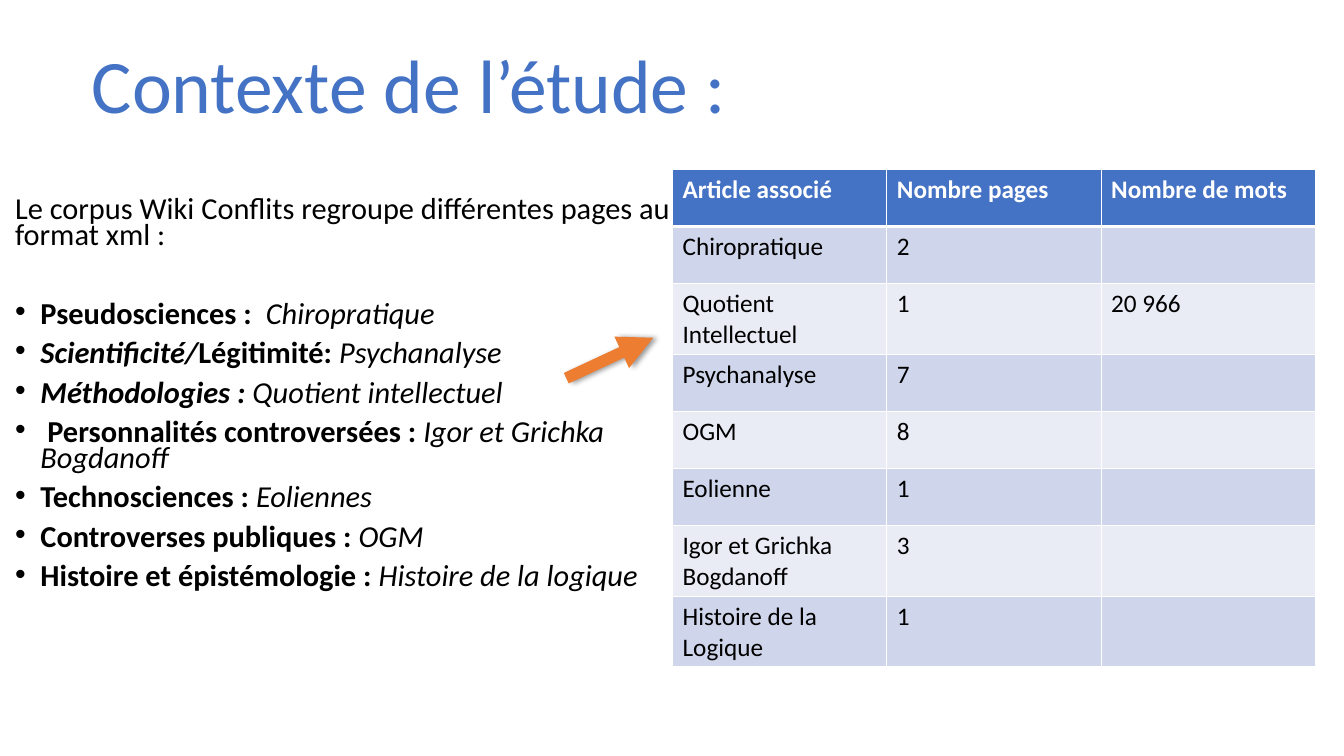
from lxml import etree
from pptx import Presentation
from pptx import util as u
from pptx.dml.color import RGBColor
from pptx.enum import shapes, text
from pptx.oxml import parse_xml
from pptx.oxml.ns import qn

NS = 'xmlns:a="http://schemas.openxmlformats.org/drawingml/2006/main"'
COLORS = {"blue": "4472C4", "orange": "ED7D31", "black": "000000",
          "white": "FFFFFF", "band": "CFD5EA", "light": "E9EBF5"}
INTRO = "Le corpus Wiki Conflits regroupe différentes pages au format xml :"
THEMES = [
    [("Pseudosciences : ", "b"), (" Chiropratique", "i")],
    [("Scientificité/", "bi"), ("Légitimité: ", "b"), ("Psychanalyse", "i")],
    [("Méthodologies : ", "bi"), ("Quotient intellectuel", "i")],
    [(" ", "bi"), ("Personnalités controversées : ", "b"), ("Igor et Grichka Bogdanoff", "i")],
    [("Technosciences : ", "b"), ("Eoliennes", "i")],
    [("Controverses publiques : ", "b"), ("OGM", "i")],
    [("Histoire et épistémologie : ", "b"), ("Histoire de la logique", "i")],
]
ARTICLES = [
    ("Article associé", "Nombre pages", "Nombre de mots"),
    ("Chiropratique", "2", ""),
    ("Quotient Intellectuel", "1", "20 966"),
    ("Psychanalyse", "7", ""),
    ("OGM", "8", ""),
    ("Eolienne", "1", ""),
    ("Igor et Grichka Bogdanoff", "3", ""),
    ("Histoire de la Logique", "1", ""),
]


class Deck:
    """Holds the style and the current slide, and adds each kind of element."""

    font = "Calibri"

    def __init__(self):
        self.prs = Presentation()
        self.prs.slide_width, self.prs.slide_height = u.Cm(33.87), u.Cm(19.05)
        self.s = self.prs.slides.add_slide(self.prs.slide_layouts[6])

    def color(self, name):
        return RGBColor.from_string(COLORS[name])

    def run(self, p, words, size, color="black", style=""):
        r = p.add_run()
        r.text = words
        r.font.name, r.font.size = self.font, u.Pt(size)
        r.font.bold, r.font.italic = "b" in style, "i" in style
        r.font.color.rgb = self.color(color)

    def box(self, x, y, w, h, wrap=True):
        tf = self.s.shapes.add_textbox(u.Cm(x), u.Cm(y), u.Cm(w), u.Cm(h)).text_frame
        tf.word_wrap = wrap
        return tf

    def title(self, words, *at):
        tf = self.box(*at, wrap=False)
        tf.auto_size = text.MSO_AUTO_SIZE.SHAPE_TO_FIT_TEXT
        p = tf.paragraphs[0]
        p.alignment = text.PP_ALIGN.CENTER
        self.run(p, words, 54, "blue")

    def bullet(self, p):
        pPr = p._p.get_or_add_pPr()
        pPr.set("marL", str(u.Cm(0.64)))
        pPr.set("indent", str(-u.Cm(0.64)))
        etree.SubElement(pPr, qn("a:buFont")).set("typeface", "Arial")
        etree.SubElement(pPr, qn("a:buChar")).set("char", "•")

    def body(self, intro, items, *at):
        tf = self.box(*at)
        for i, runs in enumerate([[(intro, "")]] + items):
            p = tf.add_paragraph() if i else tf.paragraphs[0]
            p.line_spacing = 0.7
            p.space_before = u.Pt(38 if i == 1 else 10)
            if i:
                self.bullet(p)
            for words, style in runs:
                self.run(p, words, 21.7, style=style)

    def border(self, cell, side, width):
        cell._tc.get_or_add_tcPr().append(parse_xml(
            f'<a:ln{side} {NS} w="{u.Pt(width)}"><a:solidFill>'
            f'<a:srgbClr val="{COLORS["white"]}"/></a:solidFill></a:ln{side}>'))

    def table(self, rows, x, y, col_w, row_h):
        n, m = len(rows), len(rows[0])
        tbl = self.s.shapes.add_table(n, m, u.Cm(x), u.Cm(y),
                                      u.Cm(col_w * m), u.Cm(row_h * n)).table
        for i, row in enumerate(rows):
            tbl.rows[i].height = u.Cm(row_h)
            fill = ("light" if i % 2 == 0 else "band") if i else "blue"
            for j, words in enumerate(row):
                cell = tbl.cell(i, j)
                for side in "LRTB":
                    heavy = (i, side) in ((0, "B"), (1, "T"))
                    self.border(cell, side, 3 if heavy else 1)
                cell.fill.solid()
                cell.fill.fore_color.rgb = self.color(fill)
                if words:
                    self.run(cell.text_frame.paragraphs[0], words, 18,
                             "black" if i else "white", "" if i else "b")

    def arrow(self, x1, y1, x2, y2, color, width):
        sp = self.s.shapes.add_connector(shapes.MSO_CONNECTOR.STRAIGHT,
                                         u.Cm(x1), u.Cm(y1), u.Cm(x2), u.Cm(y2))
        sp.line.color.rgb, sp.line.width = self.color(color), u.Pt(width)
        etree.SubElement(sp.line._get_or_add_ln(), qn("a:tailEnd")).set("type", "triangle")
        sp._element.spPr.append(parse_xml(
            f'<a:effectLst {NS}><a:outerShdw blurRad="{u.Pt(4)}" dist="{u.Pt(3)}" dir="0">'
            f'<a:srgbClr val="{COLORS["black"]}"><a:alpha val="40000"/></a:srgbClr>'
            '</a:outerShdw></a:effectLst>'))


def main():
    d = Deck()
    d.body(INTRO, THEMES, 0.13, 4.9, 17.22, 11.28)
    d.title("Contexte de l’étude :", 1.98, 0.84, 16.66, 2.57)
    d.table(ARTICLES, 16.95, 4.27, 5.4, 1.44)
    d.arrow(14.27, 9.53, 16.46, 8.51, "orange", 8.25)
    d.prs.save("out.pptx")


if __name__ == "__main__":
    main()
